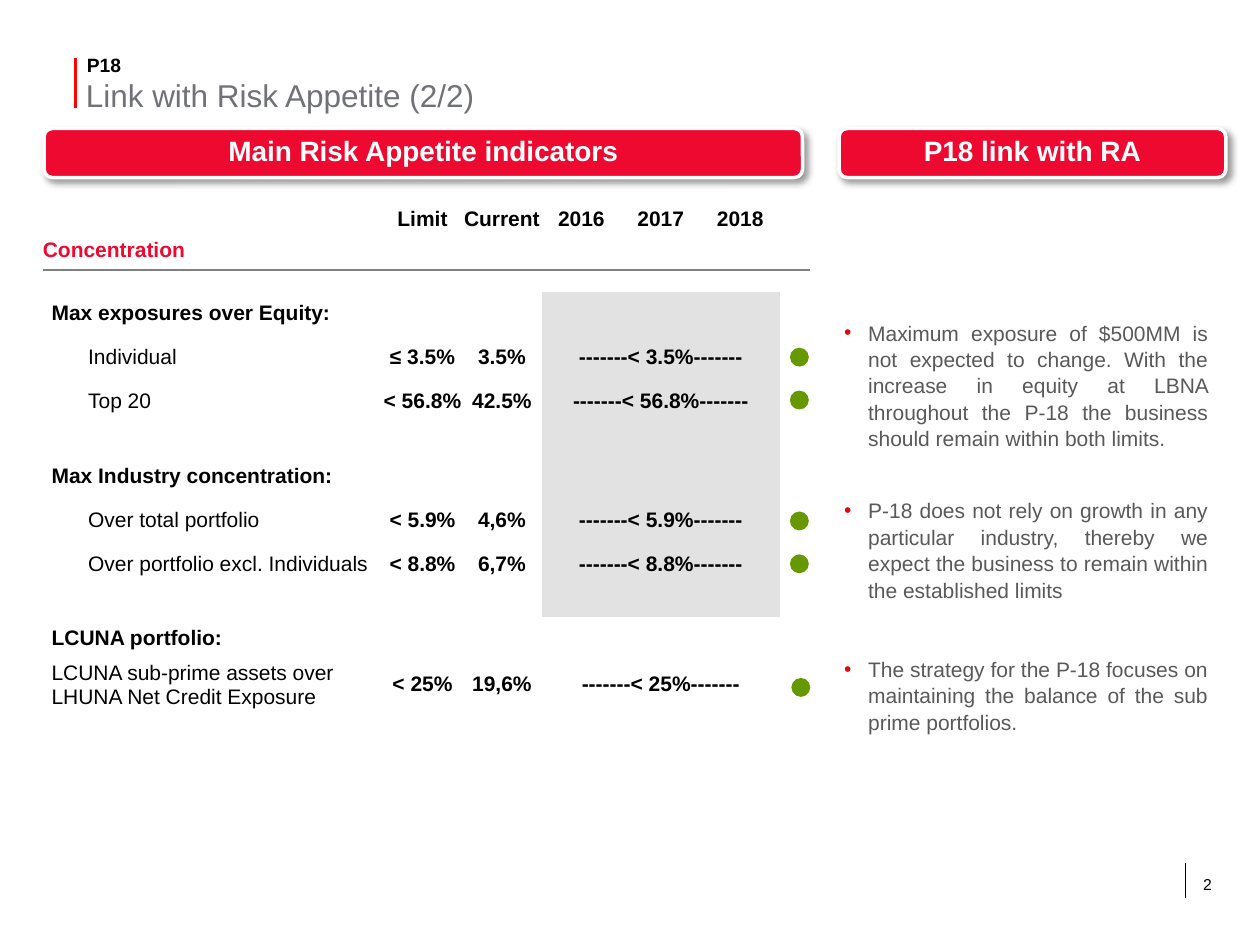
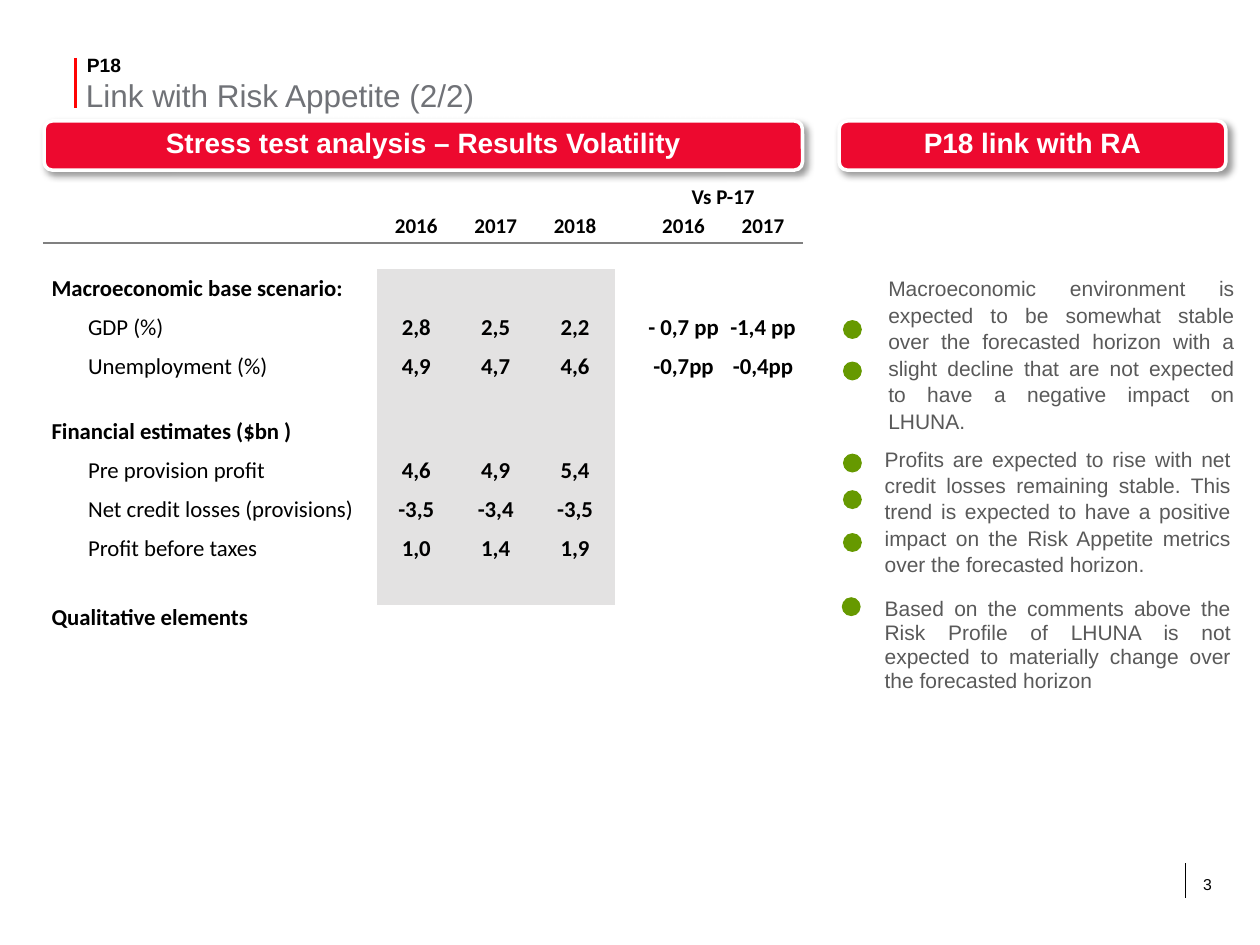
from lxml import etree
from pptx import Presentation
from pptx.dml.color import RGBColor
from pptx.enum.shapes import MSO_CONNECTOR, MSO_SHAPE
from pptx.enum.text import MSO_ANCHOR, MSO_AUTO_SIZE, PP_ALIGN
from pptx.oxml.ns import qn
from pptx.util import Pt

STRAIGHT = MSO_CONNECTOR.STRAIGHT
ROUNDED, OVAL = MSO_SHAPE.ROUNDED_RECTANGLE, MSO_SHAPE.OVAL
TOP, MIDDLE = MSO_ANCHOR.TOP, MSO_ANCHOR.MIDDLE
LEFT, CENTER, JUSTIFY = PP_ALIGN.LEFT, PP_ALIGN.CENTER, PP_ALIGN.JUSTIFY
NO_AUTOFIT = MSO_AUTO_SIZE.NONE

COMPARISON_LAYOUT = 4
NO_TABLE_STYLE = "{2D5ABB26-0587-4C30-8999-92F81FD0307C}"
RED, BLACK, WHITE = "ED092F", "000000", "FFFFFF"
TITLE_GREY, NOTE_GREY = "707277", "595959"
SHADE, RULE, GREEN = "E3E2E2", "808080", "669900"
TITLE_RED, BULLET_RED = "FF0303", "DB0B11"

NO_MARGINS = (0, 0, 0, 0)
BOX_MARGINS = (7.2, 3.6, 7.2, 3.6)
NOTE_MARGINS = (2.9, 3.6, 7.2, 3.6)

# Label kinds in the first table columns: column, bold, colour, indent, anchor, spacing
LABELS = {
    "section": (0, True, RED, 0, MIDDLE, 0.9),
    "heading": (1, True, BLACK, 0, MIDDLE, 0.9),
    "item": (1, False, BLACK, 20.9, MIDDLE, 0.9),
    "plain": (1, False, BLACK, 0, MIDDLE, 1.0),
    "top": (1, True, BLACK, 0, TOP, 0.9),
}


def rgb(color):
    return RGBColor.from_string(color)


def apply(target, values):
    for name, value in values.items():
        setattr(target, name, value)


def add_xml(parent, tag, **attributes):
    return etree.SubElement(parent, qn(tag), attributes)


class ReportSlides:
    """Holds the deck style and the slide being built."""

    def __init__(self):
        self.deck = Presentation()
        apply(self.deck, {"slide_width": Pt(720), "slide_height": Pt(540)})
        self.page = None

    # Text
    def set_frame(self, frame, margins, anchor=TOP):
        sides = ("margin_left", "margin_top", "margin_right", "margin_bottom")
        apply(frame, dict(zip(sides, map(Pt, margins))))
        apply(frame, {"word_wrap": True, "vertical_anchor": anchor, "auto_size": NO_AUTOFIT})

    def add_text(self, para, text, size, color=BLACK, bold=False, align=LEFT,
                 spacing=1.0, font="Arial"):
        apply(para, {"alignment": align, "line_spacing": spacing,
                     "space_before": Pt(0), "space_after": Pt(0)})
        span = para.add_run()
        span.text = text
        apply(span.font, {"name": font, "size": Pt(size), "bold": bold})
        span.font.color.rgb = rgb(color)

    def text_box(self, text, left, top, width, height, size, margins, bold=False):
        box = self.page.shapes.add_textbox(Pt(left), Pt(top), Pt(width), Pt(height))
        self.set_frame(box.text_frame, margins)
        self.add_text(box.text_frame.paragraphs[0], text, size, bold=bold)

    def place(self, box, left, top, width, height):
        apply(box, {"left": Pt(left), "top": Pt(top),
                    "width": Pt(width), "height": Pt(height)})

    # Lines and shapes
    def vertical_line(self, x, top, bottom, color, weight):
        line = self.page.shapes.add_connector(STRAIGHT, Pt(x), Pt(top), Pt(x), Pt(bottom))
        line.line.color.rgb = rgb(color)
        line.line.width = Pt(weight)
        add_xml(line._element.spPr, "a:effectLst")

    def shape(self, kind, left, top, width, height, fill):
        box = self.page.shapes.add_shape(kind, Pt(left), Pt(top), Pt(width), Pt(height))
        box.shadow.inherit = False
        box.fill.solid()
        box.fill.fore_color.rgb = rgb(fill)
        box.line.fill.background()
        return box

    def banner(self, text, left, top, width):
        box = self.shape(ROUNDED, left, top, width, 28.1, RED)
        box.line.color.rgb = rgb(WHITE)
        box.line.width = Pt(2)
        effects = box._element.spPr.find(qn("a:effectLst"))
        shadow = add_xml(effects, "a:outerShdw", blurRad=str(Pt(4)), dist=str(Pt(3)),
                         dir="2700000", algn="tl", rotWithShape="0")
        add_xml(add_xml(shadow, "a:srgbClr", val=BLACK), "a:alpha", val="40000")
        self.set_frame(box.text_frame, BOX_MARGINS, MIDDLE)
        self.add_text(box.text_frame.paragraphs[0], text, 16, WHITE, True, CENTER, Pt(16))

    def dots(self, left, tops):
        for top in tops:
            self.shape(OVAL, left, top, 10.8, 10.8, GREEN)

    # Page furniture, title and the two banners
    def start_page(self, number, heading, banner_top):
        self.page = self.deck.slides.add_slide(self.deck.slide_layouts[COMPARISON_LAYOUT])
        self.vertical_line(43.2, 33.1, 61.9, TITLE_RED, 1.5)
        self.vertical_line(677.5, 493.2, 513.4, BLACK, 1)
        self.text_box("P18", 49.7, 30.2, 364.3, 15.8, 11, NO_MARGINS, bold=True)
        title = self.page.shapes.title
        self.place(title, 49, 43.2, 529.2, 25.9)
        self.set_frame(title.text_frame, NO_MARGINS)
        self.add_text(title.text_frame.paragraphs[0], "Link with Risk Appetite (2/2)",
                      18, TITLE_GREY)
        self.text_box(str(number), 680.4, 496.1, 30.2, 28.8, 9, BOX_MARGINS)
        self.banner(heading, 25.2, banner_top, 433.4)
        self.banner("P18 link with RA", 479.5, banner_top, 221)

    # Notes fill the body placeholders; the rest are removed
    def notes(self, width, entries, bulleted=False):
        bodies = [box for box in self.page.placeholders
                  if box.placeholder_format.idx in (1, 2, 3, 4)]
        for box, (left, top, spacing, text) in zip(bodies, entries):
            self.place(box, left, top, width, 59.8)
            self.set_frame(box.text_frame, NOTE_MARGINS)
            para = box.text_frame.paragraphs[0]
            properties = para._p.get_or_add_pPr()
            hanging = Pt(13.7) if bulleted else 0
            properties.set("marL", str(hanging))
            properties.set("indent", str(-hanging))
            if bulleted:
                add_xml(add_xml(properties, "a:buClr"), "a:srgbClr", val=BULLET_RED)
                add_xml(properties, "a:buFont", typeface="Arial")
                add_xml(properties, "a:buChar", char="•")
            else:
                add_xml(properties, "a:buNone")
            self.add_text(para, text, 12, NOTE_GREY, align=JUSTIFY, spacing=spacing)
        for box in bodies[len(entries):]:
            box._element.getparent().remove(box._element)

    # Tables: each row is (height, label kind, label, {column: value})
    def table(self, top, widths, rows, merges, shaded_rows, shaded_columns,
              font, size, header_rows=2):
        frame = self.page.shapes.add_table(
            len(rows), len(widths), Pt(24.5), Pt(top),
            Pt(sum(widths)), Pt(sum(row[0] for row in rows)))
        table = frame.table
        apply(table, {"first_row": False, "horz_banding": False})
        table._tbl.tblPr[0].text = NO_TABLE_STYLE
        for column, width in zip(table.columns, widths):
            column.width = Pt(width)
        for r, (height, kind, label, values) in enumerate(rows):
            table.rows[r].height = Pt(height)
            label_column = LABELS[kind][0] if kind else None
            for c in range(len(widths)):
                cell = table.cell(r, c)
                apply(cell, {"margin_left": 0, "margin_right": 0, "margin_top": 0,
                             "margin_bottom": 0, "vertical_anchor": MIDDLE})
                if r == header_rows - 1:
                    self.rule_below(cell)
                if r in shaded_rows and c in shaded_columns:
                    cell.fill.solid()
                    cell.fill.fore_color.rgb = rgb(SHADE)
                else:
                    cell.fill.background()
                para = cell.text_frame.paragraphs[0]
                text_size = 12 if r < header_rows else size
                if c == label_column:
                    _, bold, color, indent, anchor, spacing = LABELS[kind]
                    cell.vertical_anchor = anchor
                    para._p.get_or_add_pPr().set("marL", str(Pt(indent)))
                    self.add_text(para, label, text_size, color, bold, LEFT, spacing, font)
                elif c in values:
                    self.add_text(para, values[c], text_size, BLACK, True, CENTER, 0.9, font)
                else:
                    add_xml(para._p, "a:endParaRPr", sz="600")
        for r, first, last in merges:
            table.cell(r, first).merge(table.cell(r, last))

    def rule_below(self, cell):
        line = add_xml(cell._tc.get_or_add_tcPr(), "a:lnB", w=str(Pt(1.5)))
        add_xml(add_xml(line, "a:solidFill"), "a:srgbClr", val=RULE)


def gap(height):
    return height, None, "", {}


def limits(height, kind, label, limit, current):
    forecast = limit.replace("≤", "<")
    return height, kind, label, {3: limit, 4: current, 5: f"-------{forecast}-------"}


def figures(label, years, changes=()):
    return 22.3, "item", label, {**dict(enumerate(years, 3)), **dict(enumerate(changes, 7))}


def build_indicators(slides):
    slides.start_page(2, "Main Risk Appetite indicators", 73.4)
    headers = ("Limit", "Current", "2016", "2017", "2018")
    rows = [
        (13, None, "", dict(enumerate(headers, 3))),
        (21.6, "section", "Concentration", {}),
        gap(12.9),
        (25.2, "heading", "Max exposures over Equity:", {}),
        limits(25.2, "item", "Individual", "≤ 3.5%", "3.5%"),
        limits(25.2, "item", "Top 20", "< 56.8%", "42.5%"),
        gap(17.3),
        (25.2, "heading", "Max Industry concentration:", {}),
        limits(25.2, "item", "Over total portfolio", "< 5.9%", "4,6%"),
        limits(25.2, "item", "Over portfolio excl. Individuals", "< 8.8%", "6,7%"),
        gap(17.3),
        (25.2, "heading", "LCUNA portfolio:", {}),
        limits(25.9, "plain", "LCUNA sub-prime assets over LHUNA Net Credit Exposure",
               "< 25%", "19,6%"),
    ]
    merges = [(1, 0, 1), (2, 0, 1)] + [(r, 5, 7) for r in (4, 5, 8, 9, 12)]
    slides.table(119.5, [5, 184.3, 5] + [45.4] * 5 + [17.3], rows, merges,
                 range(3, 11), range(5, 8), "Arial", 12)
    slides.dots(451.4, (198.7, 223.2, 292.3, 316.8))
    slides.dots(452.2, (387.4,))
    slides.notes(218.2, [
        (479.5, 178.6, 1.05, "Maximum exposure of $500MM is not expected to change. With the "
         "increase in equity at LBNA throughout the P-18 the business should remain within "
         "both limits."),
        (479.5, 280.1, 1.05, "P-18 does not rely on growth in any particular industry, thereby "
         "we expect the business to remain within the established limits"),
        (479.5, 370.8, 1.05, "The strategy for the P-18 focuses on maintaining the balance of "
         "the sub prime portfolios."),
    ], bulleted=True)


def build_stress_test(slides):
    slides.start_page(3, "Stress test analysis – Results Volatility", 69.1)
    rows = [
        (14.4, None, "", {7: "Vs P-17"}),
        (18.7, None, "", {3: "2016", 4: "2017", 5: "2018", 7: "2016", 8: "2017"}),
        gap(15.1),
        (22.3, "heading", "Macroeconomic base scenario:", {}),
        figures("GDP (%)", ("2,8", "2,5", "2,2"), ("- 0,7 pp", "-1,4 pp")),
        figures("Unemployment (%)", ("4,9", "4,7", "4,6"), ("-0,7pp", "-0,4pp")),
        gap(15.1),
        (22.3, "heading", "Financial estimates ($bn )", {}),
        figures("Pre provision profit", ("4,6", "4,9", "5,4")),
        figures("Net credit losses (provisions)", ("-3,5", "-3,4", "-3,5")),
        figures("Profit before taxes", ("1,0", "1,4", "1,9")),
        gap(20.9),
        (63.4, "top", "Qualitative elements", {}),
    ]
    merges = [(0, 7, 8), (1, 0, 1), (2, 0, 1), (12, 3, 8)]
    slides.table(105.8, [5, 180.7, 5] + [45.4] * 3 + [16.6] + [45.4] * 2, rows, merges,
                 range(3, 12), range(3, 6), "Calibri", 13)
    slides.dots(481.7, (182.9, 206.6, 259.2, 280.1, 304.6))
    slides.dots(481, (341.3,))
    slides.notes(208.1, [
        (504.7, 153.4, 1.05, "Macroeconomic environment is expected to be somewhat stable over "
         "the forecasted horizon with a slight decline that are not expected to have a "
         "negative impact on LHUNA."),
        (502.6, 250.6, 1.05, "Profits are expected to rise with net credit losses remaining "
         "stable. This trend is expected to have a positive impact on the Risk Appetite "
         "metrics over the forecasted horizon."),
        (502.6, 337.7, 0.95, "Based on the comments above the Risk Profile of LHUNA is not "
         "expected to materially change over the forecasted horizon"),
    ])


def main():
    slides = ReportSlides()
    build_indicators(slides)
    build_stress_test(slides)
    slides.deck.save("out.pptx")


if __name__ == "__main__":
    main()
